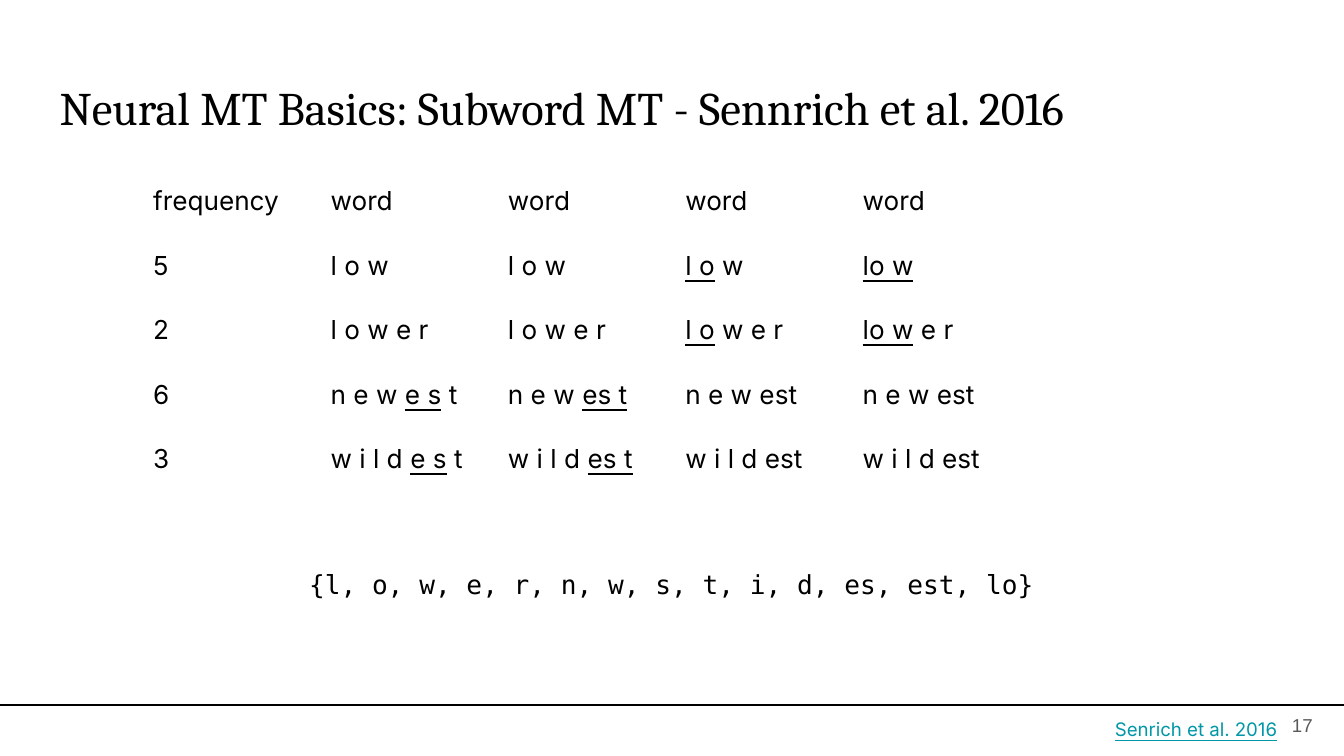
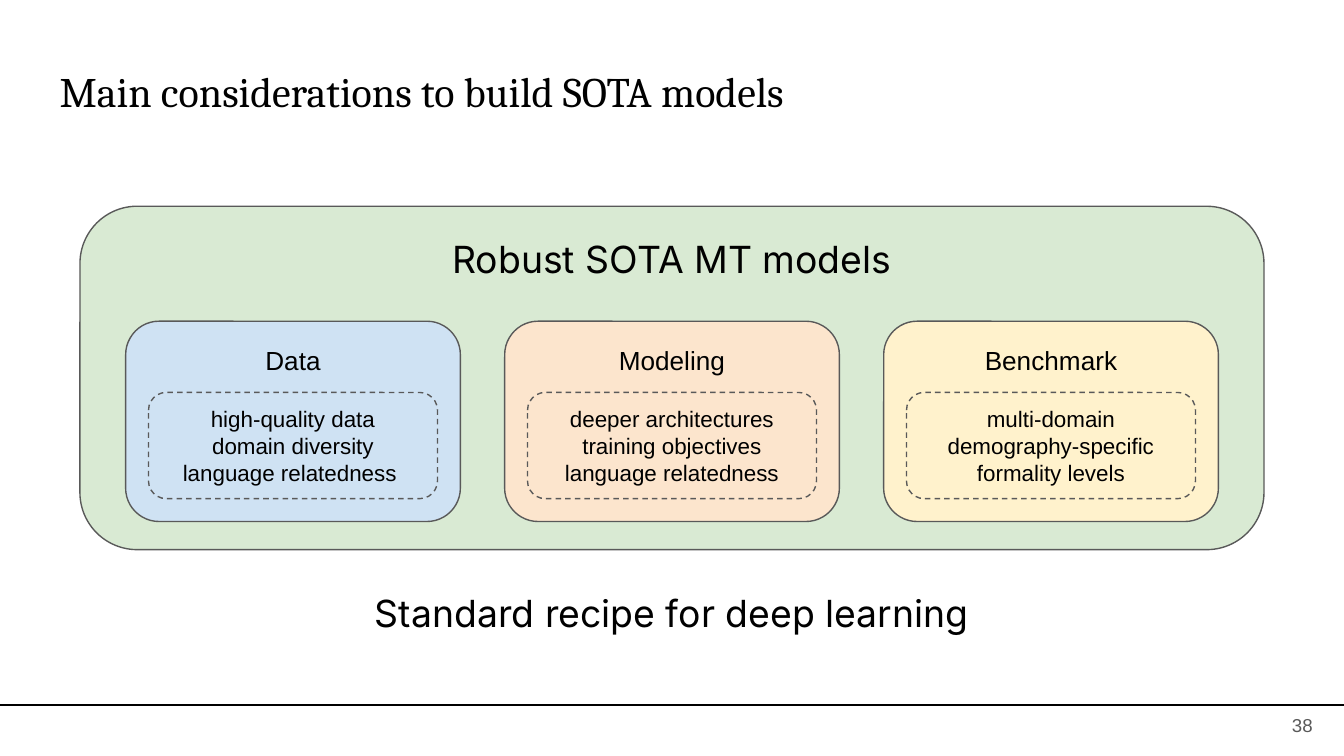
from dataclasses import dataclass

from lxml import etree
from pptx import Presentation
from pptx import util as u
from pptx.dml.color import RGBColor
from pptx.enum import dml, shapes, text
from pptx.oxml.ns import qn

SCALE = 4572
WIDTH, HEIGHT = 2000, 1125
LEFT, CENTER, RIGHT = text.PP_ALIGN.LEFT, text.PP_ALIGN.CENTER, text.PP_ALIGN.RIGHT
TOP, MIDDLE = text.MSO_ANCHOR.TOP, text.MSO_ANCHOR.MIDDLE
SIDES = ("margin_left", "margin_top", "margin_right", "margin_bottom")


@dataclass(frozen=True)
class Style:
    name: str
    size: float
    color: str = "000000"


class Theme:
    rule = "000000"
    outline = "595959"
    panel = "D9EAD3"
    blue = "CFE2F3"
    orange = "FCE5CD"
    yellow = "FFF2CC"
    line = u.Pt(0.75)
    inset = 20
    title = Style("Cambria", 25)
    title_small = Style("Cambria", 22.5)
    heading = Style("Inter", 20)
    cell = Style("Inter", 14)
    code = Style("DejaVu Sans Mono", 14)
    label = Style("Arial", 14)
    detail = Style("Arial", 12)
    number = Style("Arial", 10, "595959")
    cite = Style("Inter", 10, "0097A7")


MERGES = [
    ["frequency", "word", "word", "word", "word", ""],
    ["5", "l o w", "l o w", "_l o_ w", "_lo w_", ""],
    ["2", "l o w e r", "l o w e r", "_l o_ w e r", "_lo w_ e r", ""],
    ["6", "n e w _e s_ t", "n e w _es t_", "n e w est", "n e w est", ""],
    ["3", "w i l d _e s_ t", "w i l d _es t_", "w i l d est", "w i l d est", ""],
]

PILLARS = [
    ("Data", Theme.blue,
     ["high-quality data", "domain diversity", "language relatedness "]),
    ("Modeling", Theme.orange,
     ["deeper architectures", "training objectives", "language relatedness"]),
    ("Benchmark", Theme.yellow,
     ["multi-domain", "demography-specific", "formality levels"]),
]


def px(*values):
    return [u.Emu(v * SCALE) for v in values]


def rgb(value):
    return RGBColor.from_string(value)


def assign(obj, values):
    for key, value in values.items():
        setattr(obj, key, value)


def set_font(font, style):
    assign(font, {"name": style.name, "size": u.Pt(style.size)})
    font.color.rgb = rgb(style.color)


def set_margins(obj):
    assign(obj, dict.fromkeys(SIDES, px(Theme.inset)[0]))


def write_line(p, line, style, align=LEFT):
    p.alignment = align
    set_font(p.font, style)
    for i, part in enumerate(line.split("_")):
        if part:
            r = p.add_run()
            r.text = part
            set_font(r.font, style)
            if i % 2:
                r.font.underline = True


def write(sp, lines, style, align=LEFT, anchor=TOP):
    tf = sp.text_frame
    assign(tf, {"word_wrap": True, "vertical_anchor": anchor})
    set_margins(tf)
    for i, line in enumerate(lines):
        p = tf.add_paragraph() if i else tf.paragraphs[0]
        write_line(p, line, style, align)
    return tf


def add_text(s, box, line, style, align=LEFT, anchor=TOP):
    return write(s.shapes.add_textbox(*px(*box)), [line], style, align, anchor)


def add_round(s, box, fill, lines, style, anchor=TOP, dashed=False):
    sp = s.shapes.add_shape(shapes.MSO_SHAPE.ROUNDED_RECTANGLE, *px(*box))
    sp.shadow.inherit = False
    sp.fill.solid()
    sp.fill.fore_color.rgb = rgb(fill)
    sp.line.color.rgb = rgb(Theme.outline)
    sp.line.width = Theme.line
    if dashed:
        sp.line.dash_style = dml.MSO_LINE.DASH
    write(sp, lines, style, CENTER, anchor)


def add_footer(s, box, number, citation=None):
    x, y, w, h = box
    rule = s.shapes.add_connector(shapes.MSO_CONNECTOR.STRAIGHT, *px(x, y, x + w, y))
    rule.line.color.rgb = rgb(Theme.rule)
    rule.line.width = Theme.line
    etree.SubElement(rule._element.spPr, qn("a:effectLst"))
    if citation:
        add_text(s, (x + w - 1514, y - 1, 1434, h - 2), f"_{citation}_",
                 Theme.cite, RIGHT, MIDDLE)
    add_text(s, (x + w - 147, y - 13, 120, h + 10), number, Theme.number, RIGHT, MIDDLE)


def add_merges(s, box, rows):
    x, y, w, h = box
    table = s.shapes.add_table(len(rows), len(rows[0]), *px(x, y, w, h)).table
    assign(table, {"first_row": False, "horz_banding": False})
    for column in table.columns:
        column.width, = px(w // len(rows[0]))
    for row, line in zip(table.rows, rows):
        row.height, = px(h // len(rows))
        for cell, value in zip(row.cells, line):
            cell.fill.background()
            set_margins(cell)
            write_line(cell.text_frame.paragraphs[0], value, Theme.cell)


def add_pillar(s, box, name, fill, points):
    x, y, w, h = box
    pad, head = 34, 106
    add_round(s, box, fill, [name], Theme.label)
    add_round(s, (x + pad, y + head, w - 2 * pad, h - head - pad), fill, points,
              Theme.detail, MIDDLE, dashed=True)


def add_panel(s, box, heading, pillars):
    x, y, w, h = box
    add_round(s, box, Theme.panel, [heading], Theme.heading)
    edge, gap = 68, 66
    count = len(pillars)
    width = (w - 2 * edge - (count - 1) * gap) // count
    for i, pillar in enumerate(pillars):
        left = x + edge + i * (width + gap)
        add_pillar(s, (left, y + 171, width, 298), *pillar)


def new_slide(prs, title, top, style, number, citation=None):
    s = prs.slides.add_slide(prs.slide_layouts[6])
    add_text(s, (69, top, 1864, 126), title, style)
    add_footer(s, (0, 1049, WIDTH, 76), number, citation)
    return s


def subword_slide(prs):
    s = new_slide(prs, "Neural MT Basics: Subword MT - Sennrich et al. 2016",
                  98, Theme.title, "17", "Senrich et al. 2016")
    add_merges(s, (208, 256, 1584, 480), MERGES)
    tf = add_text(s, (127, 746, 1746, 246), "{l, o, w, e, r, n, w, s, t, i, d, es, est, lo}",
                  Theme.code, CENTER, MIDDLE)
    tf.paragraphs[0].space_after = u.Pt(10)


def recipe_slide(prs):
    s = new_slide(prs, "Main considerations to build SOTA models",
                  77, Theme.title_small, "38")
    add_panel(s, (119, 307, 1762, 511), "Robust SOTA MT models", PILLARS)
    add_text(s, (527, 858, 946, 108), "Standard recipe for deep learning",
             Theme.heading, CENTER)


def main():
    prs = Presentation()
    prs.slide_width, prs.slide_height = px(WIDTH, HEIGHT)
    subword_slide(prs)
    recipe_slide(prs)
    prs.save("out.pptx")


if __name__ == "__main__":
    main()
